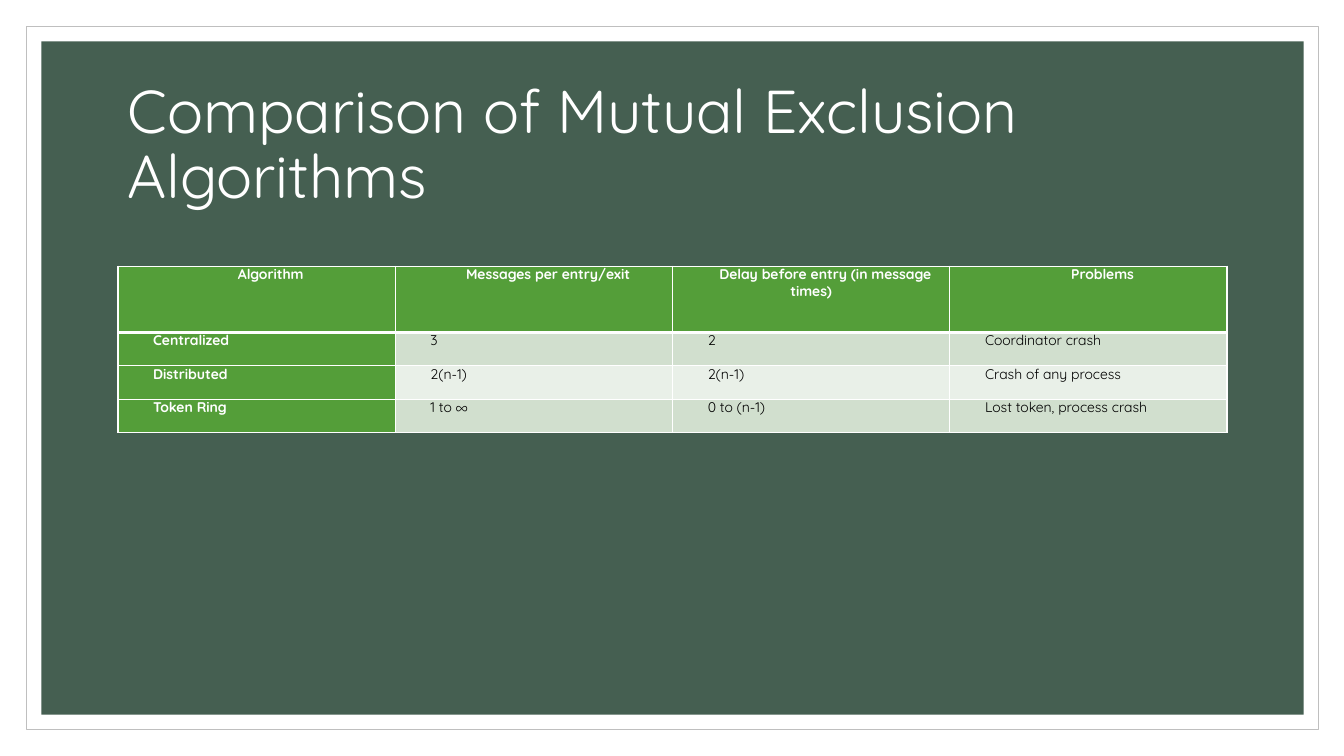
from dataclasses import dataclass

from pptx import Presentation
from pptx import util as u
from pptx.dml.color import RGBColor
from pptx.enum import shapes, text
from pptx.oxml import parse_xml
from pptx.oxml.ns import nsdecls

PX = 9144  # 100 px to the inch


@dataclass(frozen=True)
class Theme:
    font: str = "Quicksand"
    white: str = "FFFFFF"
    black: str = "000000"
    frame: str = "BFBFBF"
    panel: str = "455F51"
    accent: str = "549E39"
    bands: tuple = ("D1DFCE", "E9F0E8")
    title_size: float = 43.2
    table_size: float = 10


THEME = Theme()

ROWS = [
    ("Algorithm", "Messages per entry/exit",
     "Delay before entry (in message times)", "Problems"),
    ("Centralized", "3", "2", "Coordinator crash"),
    ("Distributed", "2(n-1)", "2(n-1)", "Crash of any process"),
    ("Token Ring", "1 to ∞", "0 to (n-1)", "Lost token, process crash"),
]
COL_WIDTH = 275
ROW_HEIGHTS = (66, 33, 33, 33)


def px(*lengths):
    return [u.Emu(length * PX) for length in lengths]


def apply_format(obj, values):
    for name, value in values.items():
        setattr(obj, name, value)


def paint(fill, color):
    fill.solid()
    fill.fore_color.rgb = RGBColor.from_string(color)


def add_run(p, words, size, color, bold=False):
    r = p.add_run()
    r.text = words
    apply_format(r.font, {"name": THEME.font, "size": u.Pt(size), "bold": bold})
    r.font.color.rgb = RGBColor.from_string(color)


def add_panel(slide, box, color, line=None):
    sp = slide.shapes.add_shape(shapes.MSO_SHAPE.RECTANGLE, *px(*box))
    sp.shadow.inherit = False
    paint(sp.fill, color)
    if line:
        paint(sp.line.fill, line)
        sp.line.width = u.Pt(0.5)
    else:
        sp.line.fill.background()


def add_title(slide, box, words):
    tf = slide.shapes.add_textbox(*px(*box)).text_frame
    apply_format(tf, {"word_wrap": True,
                      "vertical_anchor": text.MSO_ANCHOR.MIDDLE})
    p = tf.paragraphs[0]
    p.line_spacing = 0.9
    add_run(p, words, THEME.title_size, THEME.white)


def add_borders(cell, **widths):
    """Draw white cell edges; widths in points are keyed L, R, T, B."""
    tc_pr = cell._tc.get_or_add_tcPr()
    for side in "LRTB":
        tc_pr.append(parse_xml(
            f'<a:ln{side} {nsdecls("a")} w="{u.Pt(widths.get(side, 1))}">'
            f'<a:solidFill><a:srgbClr val="{THEME.white}"/></a:solidFill>'
            f'</a:ln{side}>'))


def fill_cell(cell, words, row, col):
    header = row == 0
    label = header or col == 0
    margin, indent = px(7, 28)
    apply_format(cell, {"margin_left": margin, "margin_right": margin,
                        "margin_top": 0, "margin_bottom": 0})
    add_borders(cell, **({"B": 3} if header else {"T": 3} if row == 1 else {}))
    paint(cell.fill, THEME.accent if label else THEME.bands[(row - 1) % 2])
    p = cell.text_frame.paragraphs[0]
    align = text.PP_ALIGN.CENTER if header else text.PP_ALIGN.JUSTIFY
    apply_format(p, {"alignment": align, "line_spacing": u.Pt(12),
                     "space_before": u.Pt(3), "space_after": u.Pt(3)})
    p._p.get_or_add_pPr().set("indent", str(indent))
    add_run(p, words, THEME.table_size,
            THEME.white if label else THEME.black, label)


def add_comparison(slide, left, top):
    size = COL_WIDTH * len(ROWS[0]), sum(ROW_HEIGHTS)
    table = slide.shapes.add_table(
        len(ROWS), len(ROWS[0]), *px(left, top, *size)).table
    for column in table.columns:
        column.width = u.Emu(COL_WIDTH * PX)
    for row, height in zip(table.rows, ROW_HEIGHTS):
        row.height = u.Emu(height * PX)
    for i, values in enumerate(ROWS):
        for j, words in enumerate(values):
            fill_cell(table.cell(i, j), words, i, j)


def main():
    prs = Presentation()
    prs.slide_width, prs.slide_height = px(1333, 750)
    slide = prs.slides.add_slide(prs.slide_layouts[6])
    add_panel(slide, (26, 26, 1282, 698), THEME.white, THEME.frame)
    add_panel(slide, (41, 41, 1252, 668), THEME.panel)
    add_title(slide, (117, 70, 1100, 150),
              "Comparison of Mutual Exclusion Algorithms")
    add_comparison(slide, 117, 264)
    prs.save("out.pptx")


if __name__ == "__main__":
    main()
